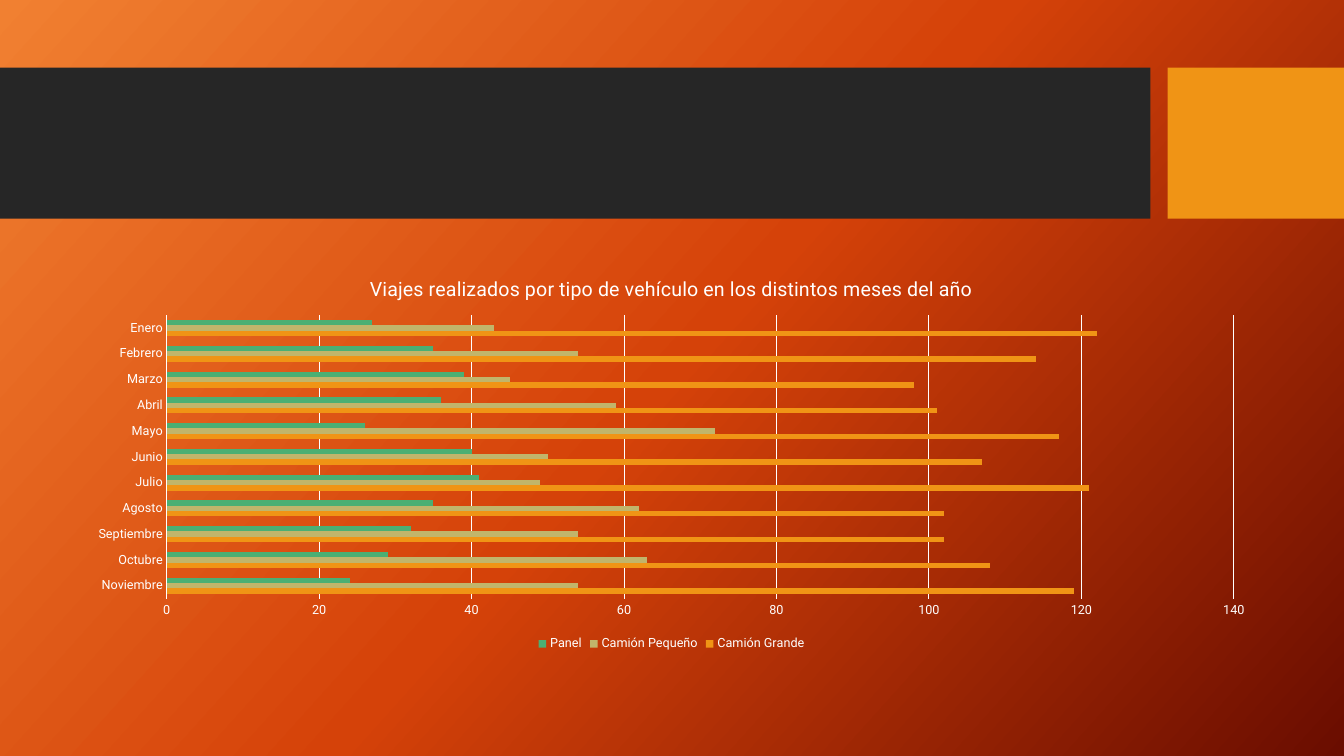
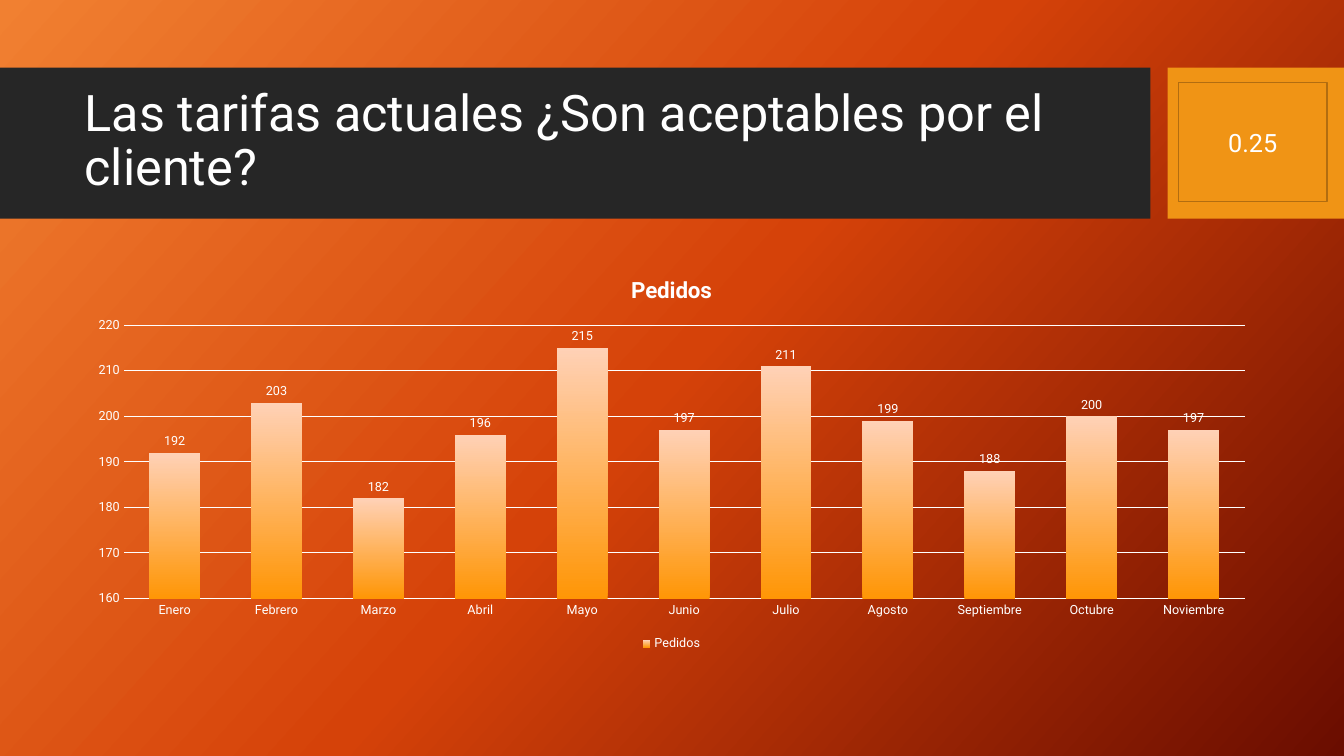
from lxml import etree
from pptx import Presentation
from pptx.chart.data import CategoryChartData
from pptx.dml.color import RGBColor
from pptx.enum.chart import XL_CHART_TYPE, XL_LABEL_POSITION, XL_LEGEND_POSITION, XL_TICK_MARK
from pptx.enum.shapes import MSO_SHAPE
from pptx.enum.text import MSO_ANCHOR, PP_ALIGN
from pptx.oxml import parse_xml
from pptx.oxml.ns import nsdecls
from pptx.util import Inches, Pt

COLORS = {
    "white": "FFFFFF", "band": "262626", "orange": "F09415", "badge_line": "B26D10",
    "sand": "C1B56B", "green": "4BAF73",
}
BACKGROUND_STOPS = [(0, "F18031"), (50, "D54209"), (100, "6A0D00")]
COLUMN_STOPS = [(0, "FF9606"), (100, "FFD1B6")]
FONT = "Roboto"

# Boxes in inches: left, top, width, height
BAND = (0, 0.67, 11.41, 1.5)
ACCENT = (11.58, 0.67, 1.75, 1.5)
TITLE = (0.74, 0.82, 10.51, 1.18)
BADGE = (11.69, 0.82, 1.47, 1.18)
CHART = (0.74, 2.56, 11.84, 3.94)

MONTHS = ["Enero", "Febrero", "Marzo", "Abril", "Mayo", "Junio", "Julio",
          "Agosto", "Septiembre", "Octubre", "Noviembre"]
# Trips by vehicle, in the order of MONTHS
TRIPS = [
    ("Camión Grande", [122, 114, 98, 101, 117, 107, 121, 102, 102, 108, 119], "orange"),
    ("Camión Pequeño", [43, 54, 45, 59, 72, 50, 49, 62, 54, 63, 54], "sand"),
    ("Panel", [27, 35, 39, 36, 26, 40, 41, 35, 32, 29, 24], "green"),
]
ORDERS = [192, 203, 182, 196, 215, 197, 211, 199, 188, 200, 197]


def color(name):
    return RGBColor.from_string(COLORS[name])


def inches(box):
    return [Inches(length) for length in box]


def style_font(font, size, bold=False):
    font.name, font.size, font.bold = FONT, Pt(size), bold
    font.color.rgb = color("white")


def set_gradient(fill, properties, stops, angle):
    """Replace the fill held by a properties element with a linear gradient."""
    fill.gradient()
    stop_xml = "".join(f'<a:gs pos="{position * 1000}"><a:srgbClr val="{value}"/></a:gs>'
                       for position, value in stops)
    gradient = parse_xml(f'<a:gradFill {nsdecls("a")} rotWithShape="1"><a:gsLst>{stop_xml}</a:gsLst>'
                         f'<a:lin ang="{angle * 60000}" scaled="0"/></a:gradFill>')
    default = next(properties.iter("{*}gradFill"))
    default.getparent().replace(default, gradient)


def add_block(slide, box, fill, line=None):
    shape = slide.shapes.add_shape(MSO_SHAPE.RECTANGLE, *inches(box))
    shape.shadow.inherit = False
    shape.fill.solid()
    shape.fill.fore_color.rgb = color(fill)
    if line:
        shape.line.color.rgb = color(line)
        shape.line.width = Pt(1)
    else:
        shape.line.fill.background()
    return shape


def write_text(shape, text, size, alignment):
    frame = shape.text_frame
    frame.word_wrap = True
    frame.vertical_anchor = MSO_ANCHOR.MIDDLE
    paragraph = frame.paragraphs[0]
    paragraph.text = text
    paragraph.alignment = alignment
    style_font(paragraph.font, size)
    return paragraph


def add_base_slide(presentation):
    """Blank slide with the shared background and header bands."""
    slide = presentation.slides.add_slide(presentation.slide_layouts[6])
    set_gradient(slide.background.fill, slide.element, BACKGROUND_STOPS, 42)
    add_block(slide, BAND, "band")
    add_block(slide, ACCENT, "orange")
    return slide


def add_header(slide, title, badge):
    title_box = slide.shapes.add_textbox(*inches(TITLE))
    write_text(title_box, title, 36, PP_ALIGN.LEFT).line_spacing = 0.9
    badge_box = add_block(slide, BADGE, "orange", "badge_line")
    write_text(badge_box, badge, 18, PP_ALIGN.CENTER)


def add_month_chart(slide, box, kind, title, title_size, months, series, scale,
                    axis_width=0.75, bold=False):
    data = CategoryChartData()
    data.categories = months
    for name, values in series:
        data.add_series(name, values)
    chart = slide.shapes.add_chart(kind, *inches(box), data).chart
    style_font(chart.font, 10)

    # Title and legend
    chart.has_title = True
    paragraph = chart.chart_title.text_frame.paragraphs[0]
    paragraph.text = title
    style_font(paragraph.font, title_size, bold)
    chart.chart_title.include_in_layout = False
    chart.has_legend = True
    chart.legend.position = XL_LEGEND_POSITION.BOTTOM
    chart.legend.include_in_layout = False
    style_font(chart.legend.font, 9)

    # Axes
    for axis in (chart.category_axis, chart.value_axis):
        axis.major_tick_mark = axis.minor_tick_mark = XL_TICK_MARK.NONE
        style_font(axis.tick_labels.font, 9)
    axis_line = chart.category_axis.format.line
    axis_line.color.rgb = color("white")
    axis_line.width = Pt(axis_width)
    value_axis = chart.value_axis
    value_axis.minimum_scale, value_axis.maximum_scale, value_axis.major_unit = scale
    value_axis.format.line.fill.background()
    value_axis.has_major_gridlines = True
    grid_line = value_axis.major_gridlines.format.line
    grid_line.color.rgb = color("white")
    grid_line.width = Pt(0.75)

    plot = chart.plots[0]
    plot.vary_by_categories = False
    return plot


def build_trips_slide(presentation):
    slide = add_base_slide(presentation)
    # Bars stack upwards, so the last month comes first
    series = [(name, values[::-1]) for name, values, _ in TRIPS]
    plot = add_month_chart(
        slide, CHART, XL_CHART_TYPE.BAR_CLUSTERED,
        "Viajes realizados por tipo de vehículo en los distintos meses del año", 14,
        MONTHS[::-1], series, (0, 140, 20))
    plot.gap_width = 182
    for bars, (_, _, fill) in zip(plot.series, TRIPS):
        bars.format.fill.solid()
        bars.format.fill.fore_color.rgb = color(fill)


def build_orders_slide(presentation):
    slide = add_base_slide(presentation)
    plot = add_month_chart(
        slide, CHART, XL_CHART_TYPE.COLUMN_CLUSTERED, "Pedidos", 16,
        MONTHS, [("Pedidos", ORDERS)], (160, 220, 10), axis_width=1, bold=True)
    plot.gap_width, plot.overlap = 100, -24
    columns = plot.series[0]
    set_gradient(columns.format.fill, columns.format.fill and columns._element, COLUMN_STOPS, 270)
    labels = columns.data_labels
    labels.show_value = True
    labels.position = XL_LABEL_POSITION.OUTSIDE_END
    style_font(labels.font, 9)
    add_header(slide, "Las tarifas actuales ¿Son aceptables por el cliente?", "0.25")


presentation = Presentation()
presentation.slide_width, presentation.slide_height = Inches(13.33), Inches(7.5)
build_trips_slide(presentation)
build_orders_slide(presentation)
presentation.save("out.pptx")
